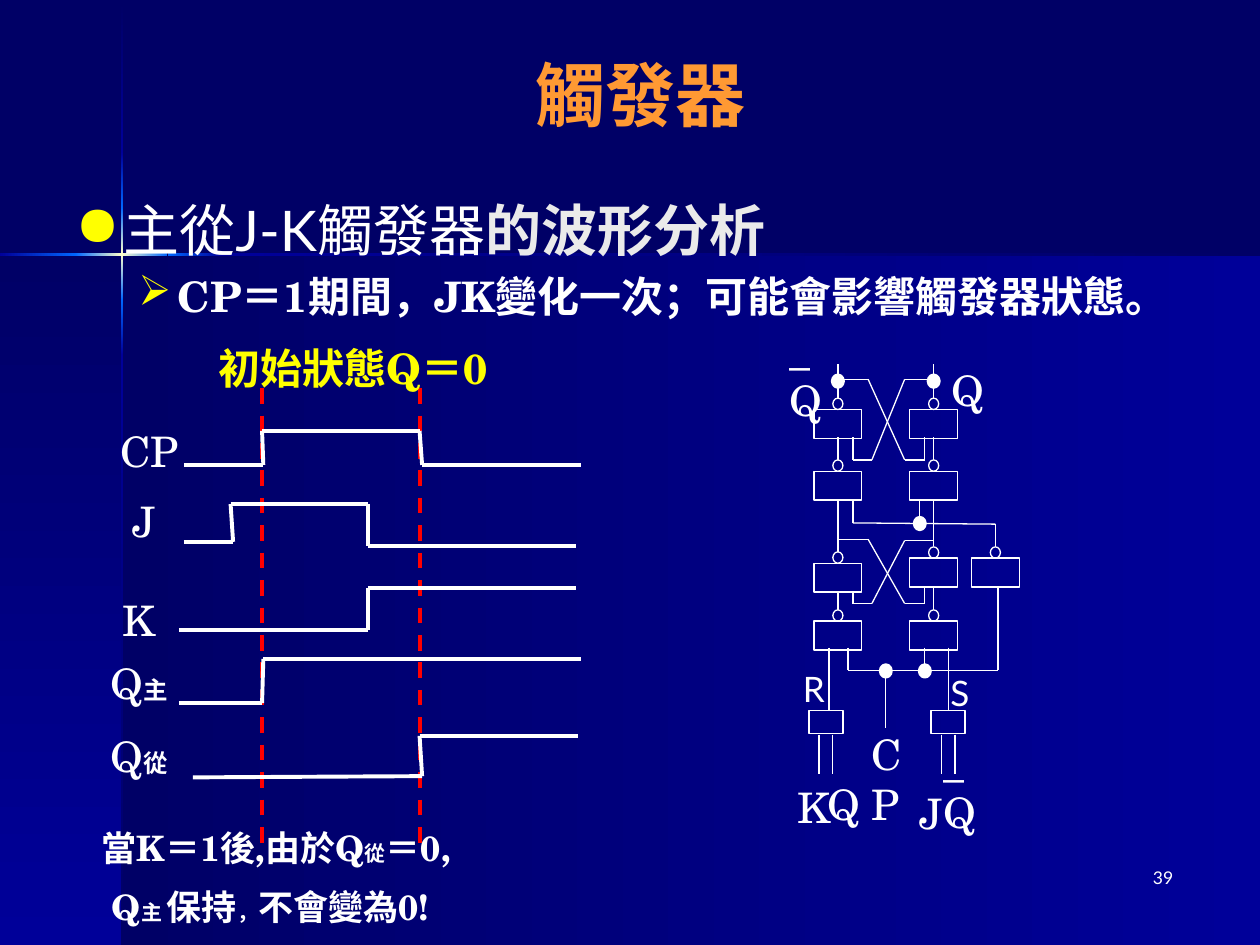
from copy import deepcopy
from dataclasses import dataclass
from itertools import pairwise
from typing import NamedTuple

from lxml import etree
from pptx import Presentation
from pptx.dml.color import RGBColor
from pptx.enum.dml import MSO_LINE
from pptx.enum.shapes import MSO_CONNECTOR, MSO_SHAPE
from pptx.enum.text import MSO_ANCHOR, MSO_AUTO_SIZE, PP_ALIGN
from pptx.oxml.ns import qn
from pptx.util import Inches, Pt

SERIF, SANS = "TeX Gyre Schola", "Lato"
WHITE, YELLOW, RED, ORANGE = "FFFFFF", "FFFF00", "FF0000", "FF9933"
NAVY, BLUE, GLOW, CREAM = "000066", "000099", "0066FF", "FFFFCC"


class Run(NamedTuple):
    text: str
    size: float = 24
    font: str = SERIF
    color: str = WHITE
    bold: bool = False


class Band(NamedTuple):
    box: tuple[float, float, float, float]
    colors: tuple[str, ...]
    vertical: bool = False


@dataclass
class Para:
    runs: list[Run]
    before: float = 0
    left: float = 0
    hang: float = 0
    bullet: str = ""


@dataclass
class Label:
    box: tuple[float, float, float, float]
    paras: list[Para]
    align: PP_ALIGN = PP_ALIGN.LEFT
    anchor: MSO_ANCHOR = MSO_ANCHOR.TOP
    wrap: bool = True
    grow: bool = True


def rgb(color: str) -> RGBColor:
    return RGBColor.from_string(color)


def add_band(s, band: Band) -> None:
    sp = s.shapes.add_shape(MSO_SHAPE.RECTANGLE, *map(Inches, band.box))
    sp.shadow.inherit = False
    sp.line.fill.background()
    sp.fill.gradient()
    sp.fill.gradient_angle = 270 if band.vertical else 0
    stops = sp._element.spPr.find(qn("a:gradFill")).find(qn("a:gsLst"))
    for _ in band.colors[2:]:
        stops.append(deepcopy(stops[0]))
    last = len(band.colors) - 1
    for i, (stop, color) in enumerate(zip(sp.fill.gradient_stops, band.colors)):
        stop.color.rgb = rgb(color)
        stop.position = i / last


def add_path(s, points: list, width: float = 0.75, color: str = WHITE, dash: bool = False) -> None:
    for start, end in pairwise(points):
        line = s.shapes.add_connector(MSO_CONNECTOR.STRAIGHT, *map(Inches, start + end))
        line.line.color.rgb = rgb(color)
        line.line.width = Pt(width)
        if dash:
            line.line.dash_style = MSO_LINE.DASH
        etree.SubElement(line._element.spPr, qn("a:effectLst"))


def add_outline(s, kind: MSO_SHAPE, box: tuple, width: float = 0.75, fill: str = "") -> None:
    sp = s.shapes.add_shape(kind, *map(Inches, box))
    sp.shadow.inherit = False
    if fill:
        sp.fill.solid()
        sp.fill.fore_color.rgb = rgb(fill)
    else:
        sp.fill.background()
    sp.line.color.rgb = rgb(WHITE)
    sp.line.width = Pt(width)


def add_gate(s, x: float, y: float) -> None:
    add_outline(s, MSO_SHAPE.RECTANGLE, (x, y, 0.38, 0.23))
    add_outline(s, MSO_SHAPE.OVAL, (x + 0.15, y - 0.09, 0.08, 0.09))


def add_bullet(p, para: Para) -> None:
    pPr = p._p.get_or_add_pPr()
    pPr.set("marL", str(Inches(para.left)))
    pPr.set("indent", str(Inches(-para.hang)))
    if para.bullet:
        color = etree.SubElement(pPr, qn("a:buClr"))
        etree.SubElement(color, qn("a:srgbClr"), val=YELLOW)
        etree.SubElement(pPr, qn("a:buChar"), char=para.bullet)


def add_label(s, label: Label) -> None:
    tf = s.shapes.add_textbox(*map(Inches, label.box)).text_frame
    tf.word_wrap = label.wrap
    tf.auto_size = MSO_AUTO_SIZE.SHAPE_TO_FIT_TEXT if label.grow else MSO_AUTO_SIZE.NONE
    tf.vertical_anchor = label.anchor
    for i, para in enumerate(label.paras):
        p = tf.add_paragraph() if i else tf.paragraphs[0]
        add_bullet(p, para)
        p.alignment = label.align
        if para.before:
            p.space_before = Pt(para.before)
        for run in para.runs:
            r = p.add_run()
            r.text = run.text
            r.font.size = Pt(run.size)
            r.font.name = run.font
            r.font.bold = run.bold
            r.font.color.rgb = rgb(run.color)


BANDS = [
    Band((0.97, 2.02, 9.03, 5.48), (NAVY, BLUE)),
    Band((0, 2.02, 0.97, 5.48), (NAVY, BLUE), True),
    Band((0.96, 0.01, 0.02, 1.2), (NAVY, BLUE), True),
    Band((0.96, 2.82, 0.02, 4.68), (BLUE, NAVY), True),
    Band((1.77, 2.01, 8.23, 0.02), (BLUE, NAVY)),
    Band((0.96, 2.38, 0.02, 0.44), (GLOW, BLUE), True),
    Band((0.96, 1.21, 0.02, 0.44), (BLUE, GLOW), True),
    Band((0.96, 1.65, 0.02, 0.73), (GLOW, CREAM, GLOW), True),
    Band((0, 2.01, 0.61, 0.02), (BLUE, GLOW)),
    Band((1.33, 2.01, 0.44, 0.02), (GLOW, BLUE)),
    Band((0.6, 2.01, 0.73, 0.02), (GLOW, CREAM, GLOW)),
]
WAVES = [
    [(1.46, 3.69), (2.09, 3.69), (2.08, 3.42), (3.33, 3.42), (3.35, 3.69), (4.61, 3.69)],
    [(1.46, 4.3), (1.85, 4.3), (1.83, 4), (2.92, 4), (2.92, 4.33), (4.57, 4.33)],
    [(1.42, 5), (2.92, 5), (2.92, 4.67), (4.57, 4.67)],
    [(1.42, 5.58), (2.08, 5.58), (2.09, 5.23), (4.61, 5.23)],
    [(1.53, 6.17), (3.35, 6.16), (3.33, 5.84), (4.59, 5.84)],
]
WIRES = [
    [(6.66, 3.01), (6.89, 3.01), (7.18, 3.65), (7.34, 3.65), (7.34, 3.47)],
    [(7.41, 3.01), (7.18, 3.01), (6.92, 3.65), (6.77, 3.65), (6.77, 3.47)],
    [(6.66, 4.28), (6.89, 4.28), (7.18, 4.79), (7.34, 4.79), (7.34, 4.66)],
    [(7.41, 4.29), (7.18, 4.29), (6.92, 4.79), (6.77, 4.79), (6.77, 4.7)],
    [(6.77, 3.97), (6.77, 4.15), (7.9, 4.16), (7.9, 4.34)],
    [(6.73, 5.14), (6.73, 5.32), (7.92, 5.32), (7.92, 4.66)],
    [(7.3, 3.97), (7.3, 4.15)],
    [(7.34, 5.14), (7.34, 5.32)],
    [(7.03, 5.32), (7.03, 5.78)],
    [(6.65, 3.97), (6.65, 4.38)],
    [(7.41, 3.97), (7.41, 4.33)],
    [(6.65, 4.7), (6.65, 4.84)],
    [(7.41, 4.66), (7.41, 4.84)],
    *[[(x, 2.89), (x, 3.16)] for x in (6.65, 7.41)],
    *[[(x, 3.47), (x, 3.65)] for x in (6.65, 7.41)],
    *[[(x, 5.14), (x, 5.55), (x, 5.64)] for x in (6.58, 7.53)],
    *[[(x, 5.83), (x, 6.14)] for x in (6.5, 6.61, 7.47, 7.58)],
]
GATES = [(x, y) for y in (3.25, 3.74, 4.93) for x in (6.46, 7.22)]
GATES += [(6.46, 4.47), (7.22, 4.43), (7.71, 4.43)]
DOTS = [(6.61, 2.98), (7.37, 2.98), (7.26, 4.11), (7.3, 5.28), (6.99, 5.28)]
Q_BAR = [Para([Run("_")]), Para([Run("Q")])]
SIGNALS = [
    (0.83, 3.33, [Run("CP")]),
    (0.79, 3.88, [Run("J")]),
    (0.75, 4.67, [Run("K")]),
    (0.75, 5.17, [Run("Q"), Run("主", 14, bold=True)]),
    (0.75, 5.75, [Run("Q"), Run("從", 14, bold=True)]),
]
PINS = [(7.45, 2.84, 0.45, "Q"), (6.23, 6.15, 0.44, "K"), (6.47, 6.13, 0.45, "Q"), (7.2, 6.2, 0.38, "J")]
HEADING = [Run("主從J-K觸發器", 32, SANS), Run("的波形分析", 32, SERIF, "EAEAEA", True)]
POINT = [Run("CP＝1期間，JK變化一次；可能會影響觸發器狀態。", bold=True)]
NOTE = [
    Para([Run("當K＝1後,由於Q", 20, bold=True), Run("從", 12, bold=True), Run("＝0,", 20, bold=True)]),
    Para([Run("Q", 20, bold=True), Run("主 ", 12, bold=True), Run("保持", 20, bold=True),
          Run("，", 12, bold=True), Run("不會變為0!", 20, bold=True)], before=10, left=0.08),
]
LABELS = [
    Label((7.33, 6.83, 2.08, 0.5), [Para([Run("39", 10, SANS)])], PP_ALIGN.RIGHT, grow=False),
    Label((0.5, 0.33, 9.17, 0.83), [Para([Run("觸發器", 40, SANS, ORANGE, True)])],
          PP_ALIGN.CENTER, MSO_ANCHOR.MIDDLE, grow=False),
    Label((0.5, 1.5, 9.08, 5.17), [Para(HEADING, left=0.38, hang=0.38, bullet="●"),
                                   Para(POINT, 4.8, 0.81, 0.31, "➢")], grow=False),
    Label((1.42, 2.67, 2.76, 0.5), [Para([Run("初始狀態Q＝0", color=YELLOW, bold=True)])], PP_ALIGN.CENTER),
    *[Label((x, y, 0.71, 0.5), [Para(runs)], PP_ALIGN.CENTER) for x, y, runs in SIGNALS],
    Label((0.71, 6.51, 3.92, 0.94), NOTE),
    Label((6.17, 2.52, 0.23, 0.91), Q_BAR),
    Label((7.39, 5.79, 0.62, 0.91), Q_BAR),
    Label((6.82, 5.73, 0.65, 0.5), [Para([Run("CP")])]),
    Label((6.28, 5.25, 0.19, 0.44), [Para([Run("R", 20, SANS)])]),
    Label((7.45, 5.28, 0.19, 0.44), [Para([Run("S", 20, SANS)])]),
    *[Label((x, y, w, 0.5), [Para([Run(text)])], wrap=False) for x, y, w, text in PINS],
]


def main() -> None:
    prs = Presentation()
    prs.slide_width, prs.slide_height = Inches(10), Inches(7.5)
    s = prs.slides.add_slide(prs.slide_layouts[6])
    s.background.fill.solid()
    s.background.fill.fore_color.rgb = rgb(NAVY)
    for band in BANDS:
        add_band(s, band)
    for x in (2.08, 3.33):
        add_path(s, [(x, 3.08), (x, 6.7)], 2.25, RED, True)
    for wave in WAVES:
        add_path(s, wave, 2.25)
    for wire in WIRES:
        add_path(s, wire)
    for x, y in GATES:
        add_gate(s, x, y)
    for x in (6.42, 7.39):
        add_outline(s, MSO_SHAPE.RECTANGLE, (x, 5.64, 0.27, 0.18))
    for x, y in DOTS:
        add_outline(s, MSO_SHAPE.OVAL, (x, y, 0.08, 0.09), 2.25, WHITE)
    for label in LABELS:
        add_label(s, label)
    prs.save("out.pptx")


if __name__ == "__main__":
    main()
